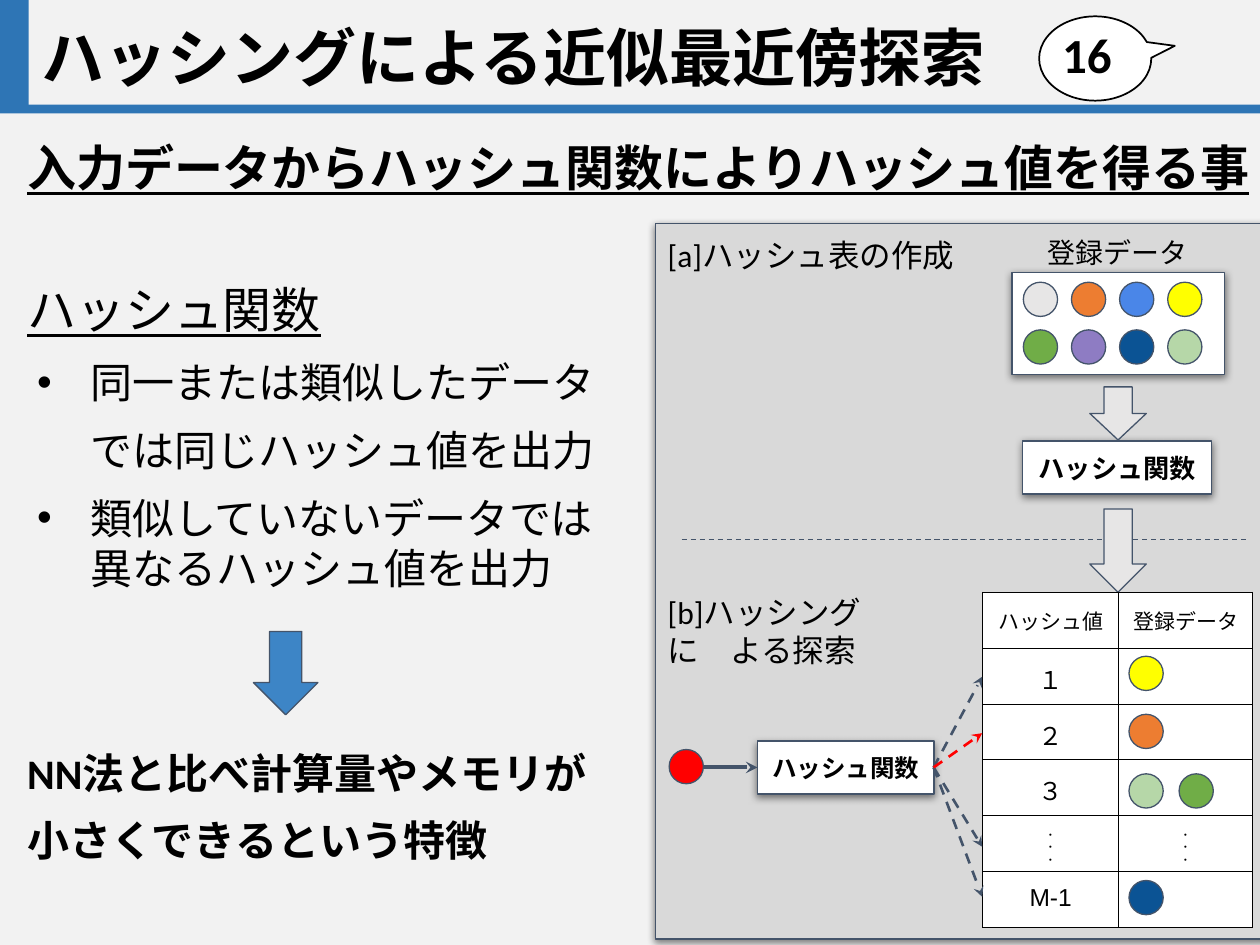
from lxml import etree
from pptx import Presentation
from pptx import util as u
from pptx.dml.color import RGBColor
from pptx.enum import dml, shapes, text
from pptx.oxml import ns

SHAPE = shapes.MSO_SHAPE
ALIGN = text.PP_ALIGN
BLACK, WHITE, SLATE, BLUE = "000000", "FFFFFF", "44546A", "2E75B5"
PALE, ORANGE, YELLOW, GREEN = "E7E6E6", "ED7D31", "FFFF00", "70AD47"
SKY, PURPLE, NAVY, MINT, RED = "4A86E8", "8E7CC3", "0B5394", "B6D7A8", "FF0000"
DOT = 0.69  # diameter of a data point in cm


def rgb(value):
    return RGBColor.from_string(value)


def sub(parent, tag, **attrs):
    return etree.SubElement(parent, ns.qn(tag), attrs)


def set_font(p, size, name="Calibri", bold=False, underline=False):
    for r in p.runs:
        f = r.font
        f.size, f.name, f.bold, f.underline = u.Pt(size), name, bold, underline
        f.color.rgb = rgb(BLACK)


def set_frame(tf, inset=0.25, anchor=text.MSO_ANCHOR.TOP):
    tf.word_wrap = True
    tf.vertical_anchor = anchor
    tf.margin_left = tf.margin_right = u.Cm(0.25)
    tf.margin_top = tf.margin_bottom = u.Cm(inset)


def add_shape(s, kind, box, fill, line=SLATE, weight=0.75, shadow=False):
    sp = s.shapes.add_shape(kind, *map(u.Cm, box))
    sp.fill.solid()
    sp.fill.fore_color.rgb = rgb(fill)
    if line:
        sp.line.color.rgb = rgb(line)
        sp.line.width = u.Pt(weight)
    else:
        sp.line.fill.background()
    sp.shadow.inherit = False
    if shadow:
        effects = sp._element.spPr.find(ns.qn("a:effectLst"))
        outer = sub(effects, "a:outerShdw", blurRad="57150", dist="19050",
                    dir="5400000", algn="bl", rotWithShape="0")
        sub(sub(outer, "a:srgbClr", val=BLACK), "a:alpha", val="50000")
    return sp


def add_dot(s, x, y, fill):
    add_shape(s, SHAPE.OVAL, (x, y, DOT, DOT), fill)


def add_text(s, box, words, size, align=ALIGN.LEFT, inset=0.25,
             anchor=text.MSO_ANCHOR.TOP, **font):
    tb = s.shapes.add_textbox(*map(u.Cm, box))
    set_frame(tb.text_frame, inset, anchor)
    p = tb.text_frame.paragraphs[0]
    p.text, p.alignment = words, align
    set_font(p, size, **font)
    return p


def add_function_box(s, box, size):
    sp = add_shape(s, SHAPE.RECTANGLE, box, WHITE, shadow=True)
    set_frame(sp.text_frame, anchor=text.MSO_ANCHOR.MIDDLE)
    p = sp.text_frame.paragraphs[0]
    p.text, p.alignment = "ハッシュ関数", ALIGN.CENTER
    set_font(p, size, "Arial", bold=True)


def add_line(s, start, end, color=SLATE, weight=0.75, dashed=False, arrow=False):
    cn = s.shapes.add_connector(shapes.MSO_CONNECTOR.STRAIGHT,
                                *map(u.Cm, (*start, *end)))
    cn.line.color.rgb = rgb(color)
    cn.line.width = u.Pt(weight)
    if dashed:
        cn.line.dash_style = dml.MSO_LINE.DASH
    if arrow:
        sub(cn.line._get_or_add_ln(), "a:tailEnd", type="stealth")
    sub(cn._element.spPr, "a:effectLst")


def set_bullet(p, level_indent, hanging, char=None):
    pPr = p._p.get_or_add_pPr()
    pPr.set("marL", str(u.Cm(level_indent)))
    pPr.set("indent", str(u.Cm(hanging)))
    if char:
        sub(pPr, "a:buFont", typeface="Arial")
        sub(pPr, "a:buChar", char=char)


def set_borders(cell):
    tcPr = cell._tc.get_or_add_tcPr()
    for i, side in enumerate(("a:lnL", "a:lnR", "a:lnT", "a:lnB")):
        ln = etree.Element(ns.qn(side), w=str(u.Pt(0.75)))
        sub(sub(ln, "a:solidFill"), "a:srgbClr", val=BLACK)
        tcPr.insert(i, ln)


def add_header(s):
    add_shape(s, SHAPE.RECTANGLE, (0, 2.11, 25.4, 0.18), BLUE, None)
    add_shape(s, SHAPE.RECTANGLE, (0, 0, 0.58, 2.13), BLUE, None)
    balloon = add_shape(s, SHAPE.OVAL_CALLOUT, (20.95, 0.33, 2.26, 1.7),
                        WHITE, BLACK, 1)
    balloon.adjustments[0], balloon.adjustments[1] = 0.71, -0.15
    title = add_text(s, (0.58, 0.3, 20.37, 1.85), "ハッシングによる近似最近傍探索", 36,
                     inset=0.13, anchor=text.MSO_ANCHOR.MIDDLE,
                     name="Noto Sans CJK JP", bold=True)
    title.line_spacing = 0.9
    sub(title.runs[0]._r.get_or_add_rPr(), "a:ea", typeface="Noto Sans CJK JP")
    add_text(s, (20.78, 0.43, 1.88, 1.32), "16", 28, ALIGN.RIGHT, 0.13,
             text.MSO_ANCHOR.MIDDLE, bold=True)


def add_body(s):
    # words, size, bold, underline, space before, line spacing, (indent, hanging, bullet)
    lines = [
        ("入力データからハッシュ関数によりハッシュ値を得る事", 28, True, True, 10, 0.9, None),
        ("ハッシュ関数", 28, False, True, 51, 0.9, None),
        ("同一または類似したデータ", 24, False, False, 10, 1, (1.27, -1.07, "•")),
        ("では同じハッシュ値を出力", 24, False, False, 10, 1, (1.27, 0)),
        ("類似していないデータでは\v異なるハッシュ値を出力", 24, False, False, 10, 1,
         (1.27, -1.07, "•")),
        ("NN法と比べ計算量やメモリが", 24, True, False, 88, 1, None),
        ("小さくできるという特徴", 24, True, False, 10, 1, None),
    ]
    tb = s.shapes.add_textbox(*map(u.Cm, (0.3, 2.77, 25.4, 16.28)))
    tf = tb.text_frame
    set_frame(tf, 0.13)
    for i, (words, size, bold, underline, before, spacing, bullet) in enumerate(lines):
        p = tf.add_paragraph() if i else tf.paragraphs[0]
        p.text = words
        p.space_before, p.line_spacing = u.Pt(before), spacing
        set_font(p, size, bold=bold, underline=underline)
        if bullet:
            set_bullet(p, *bullet)


def add_hash_table(s):
    dots = "・\n・\n・"
    rows = [("ハッシュ値", "登録データ"), ("１", ""), ("２", ""), ("３", ""),
            (dots, dots), ("M-1", "")]
    frame = s.shapes.add_table(len(rows), 2, *map(u.Cm, (19.81, 11.94, 5.45, 6.72)))
    table = frame.table
    for col, width in zip(table.columns, (2.74, 2.7)):
        col.width = u.Cm(width)
    for i, row in enumerate(rows):
        table.rows[i].height = u.Cm(1.12 if i else 1.14)
        for j, words in enumerate(row):
            cell = table.cell(i, j)
            cell.fill.solid()
            cell.fill.fore_color.rgb = rgb(WHITE)
            set_borders(cell)
            cell.margin_left = cell.margin_right = u.Cm(0.25)
            cell.margin_top = cell.margin_bottom = u.Cm(0.25)
            cell.text_frame.text = words
            size = 5 if words == dots else 14 if i else 12
            for p in cell.text_frame.paragraphs:
                p.alignment = ALIGN.CENTER
                p.font.size = u.Pt(size)
                set_font(p, size, "Arial", bold=words == dots)


def add_diagram(s):
    add_shape(s, SHAPE.RECTANGLE, (13.21, 4.5, 12.5, 14.43), "D9D9D9", shadow=True)
    add_line(s, (13.74, 10.87), (25.17, 10.87), dashed=True)
    add_text(s, (13.21, 4.5, 6.45, 1.27), "[a]ハッシュ表の作成", 18)
    add_text(s, (13.21, 11.71, 5.46, 2.06), "[b]ハッシングに　よる探索", 18)
    add_text(s, (20.62, 4.5, 3.81, 1.19), "登録データ", 16, ALIGN.CENTER)

    # Registered data and hash function
    add_shape(s, SHAPE.RECTANGLE, (20.4, 5.49, 4.29, 2.06), WHITE, shadow=True)
    add_function_box(s, (20.62, 8.89, 3.81, 1.07), 15)
    colors = (PALE, ORANGE, SKY, YELLOW, GREEN, PURPLE, NAVY, MINT)
    for i, color in enumerate(colors):
        add_dot(s, 20.63 + 0.97 * (i % 4), 5.69 + 0.96 * (i // 4), color)
    for y, height in ((7.8, 1.07), (10.26, 1.68)):
        add_shape(s, SHAPE.DOWN_ARROW, (21.97, y, 1.14, height), PALE)

    # Query
    add_function_box(s, (15.27, 14.94, 3.56, 1.07), 14)
    add_dot(s, 13.49, 15.11, RED)
    add_line(s, (14.17, 15.47), (15.27, 15.47), weight=2.25, arrow=True)

    # Hash table with its stored data
    add_hash_table(s)
    for x, y, color in ((22.76, 13.23, YELLOW), (22.76, 14.4, ORANGE),
                        (22.76, 15.6, MINT), (23.77, 15.6, GREEN),
                        (22.76, 17.75, NAVY)):
        add_dot(s, x, y, color)
    for y, color in ((13.64, SLATE), (17.07, SLATE), (18.08, SLATE), (14.78, RED)):
        add_line(s, (18.82, 15.47), (19.8, y), color, 1.5, dashed=True, arrow=True)


def main():
    prs = Presentation()
    prs.slide_width, prs.slide_height = u.Cm(25.4), u.Cm(19.05)
    s = prs.slides.add_slide(prs.slide_layouts[6])
    s.background.fill.solid()
    s.background.fill.fore_color.rgb = rgb("F2F2F2")
    add_header(s)
    add_body(s)
    add_diagram(s)
    add_shape(s, SHAPE.DOWN_ARROW, (5.11, 12.73, 1.3, 1.68), "3D85C6")
    prs.save("out.pptx")


main()
